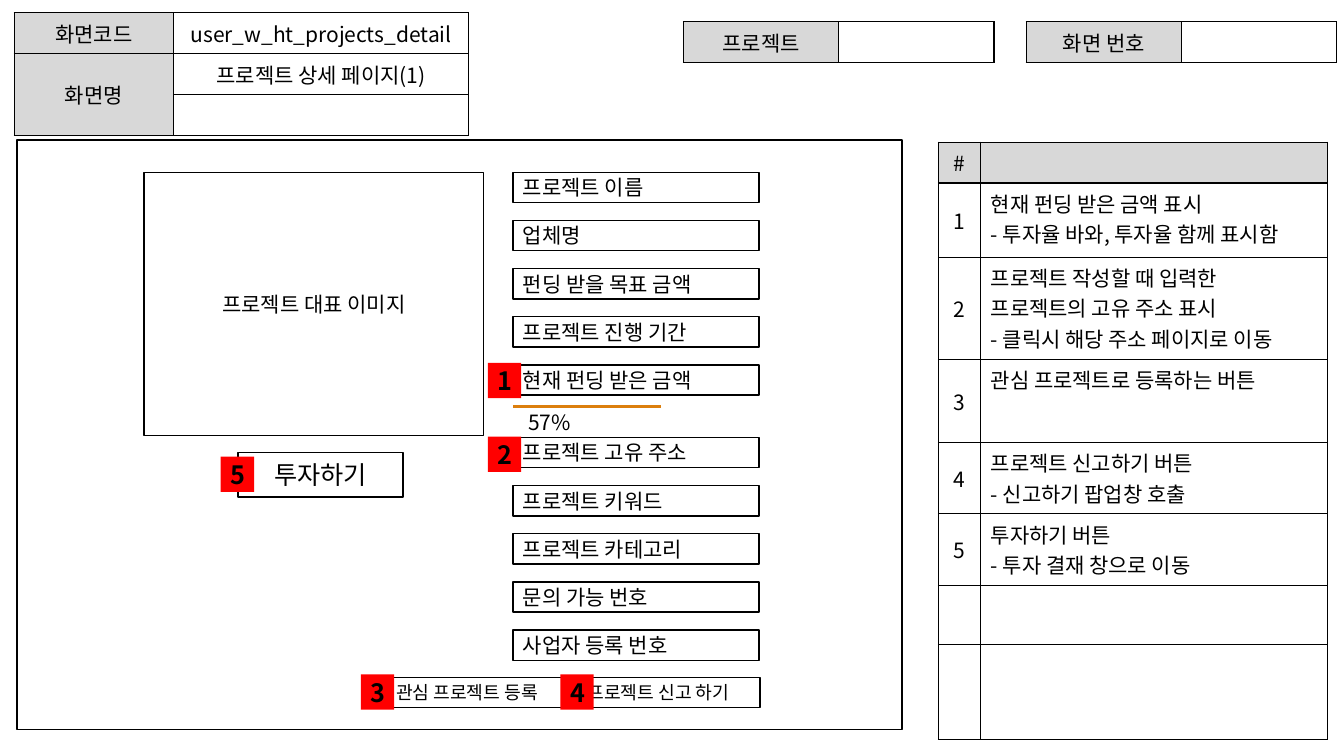
"""Build the wireframe slide for the project detail page."""
from dataclasses import dataclass

from lxml import etree
from pptx import Presentation
from pptx.dml.color import RGBColor
from pptx.enum import shapes, text
from pptx.oxml import ns
from pptx.util import Pt


@dataclass(frozen=True)
class Theme:
    """Colours, font and type sizes."""
    font: str = "Noto Sans CJK KR"
    ink: str = "000000"
    paper: str = "FFFFFF"
    label: str = "D8D8D8"
    badge: str = "FF0000"
    progress: str = "DC7F0D"
    small: float = 13
    body: float = 15
    large: float = 18


THEME = Theme()
LEFT, CENTER = text.PP_ALIGN.LEFT, text.PP_ALIGN.CENTER

SCREEN = [["화면코드", "user_w_ht_projects_detail"],
          ["화면명", "프로젝트 상세 페이지(1)"],
          ["", ""]]
PROJECT = [["프로젝트", ""]]
SCREEN_NUMBER = [["화면 번호", ""]]
GUIDE = [
    ["#", ""],
    ["1", "현재 펀딩 받은 금액 표시\n- 투자율 바와, 투자율 함께 표시함"],
    ["2", "프로젝트 작성할 때 입력한 프로젝트의 고유 주소 표시\n- 클릭시 해당 주소 페이지로 이동"],
    ["3", "관심 프로젝트로 등록하는 버튼"],
    ["4", "프로젝트 신고하기 버튼\n- 신고하기 팝업창 호출"],
    ["5", "투자하기 버튼\n- 투자 결재 창으로 이동"],
    ["", ""],
    ["", ""],
]
GUIDE_HEIGHTS = [28.6, 53, 73, 59.4, 51, 51, 42.6, 67.8]
FIELD_GROUPS = [
    (123.1, ["프로젝트 이름", "업체명", "펀딩 받을 목표 금액", "프로젝트 진행 기간", "현재 펀딩 받은 금액"]),
    (312.5, ["프로젝트 고유 주소", "프로젝트 키워드", "프로젝트 카테고리", "문의 가능 번호", "사업자 등록 번호"]),
]
BOTTOM_BUTTONS = [(275.8, "관심 프로젝트 등록"), (412.6, "프로젝트 신고 하기")]
BADGES = [("3", 257.8, 481.7), ("4", 400.3, 481.7), ("2", 348.5, 311.8),
          ("5", 157.7, 326.2), ("1", 348.5, 259.2)]

FIELD_LEFT, FIELD_WIDTH, FIELD_HEIGHT, FIELD_STEP = 366.5, 175.7, 21.6, 34.4
PROGRESS_TOP, PROGRESS_WIDTH = 290.2, 105.8
LABEL_ROW = 29.2


def colour(value):
    return RGBColor.from_string(value)


def format_text(frame, align, size, bold=False):
    frame.word_wrap = True
    for paragraph in frame.paragraphs:
        paragraph.alignment = align
        for run in paragraph.runs:
            run.font.size, run.font.bold = Pt(size), bold
            run.font.color.rgb = colour(THEME.ink)
            run.font.name = THEME.font
            east_asian = etree.SubElement(run.font._element, ns.qn("a:ea"))
            east_asian.set("typeface", THEME.font)


def format_cell(cell, fill, align, anchor):
    properties = cell._tc.get_or_add_tcPr()
    for side in ("lnL", "lnR", "lnT", "lnB"):
        border = etree.SubElement(properties, ns.qn(f"a:{side}"), w=str(Pt(1)))
        solid = etree.SubElement(border, ns.qn("a:solidFill"))
        etree.SubElement(solid, ns.qn("a:srgbClr"), val=THEME.ink)
    cell.fill.solid()
    cell.fill.fore_color.rgb = colour(fill)
    cell.vertical_anchor = anchor
    format_text(cell.text_frame, align, THEME.body)


def add_grid(slide, rows, left, top, widths, heights, guide=False):
    grid = slide.shapes.add_table(len(rows), len(widths), Pt(left), Pt(top),
                                  Pt(sum(widths)), Pt(sum(heights))).table
    grid.first_row = grid.horz_banding = False
    for column, width in zip(grid.columns, widths):
        column.width = Pt(width)
    for row, height in zip(grid.rows, heights):
        row.height = Pt(height)
    for r, row in enumerate(rows):
        for c, words in enumerate(row):
            cell = grid.cell(r, c)
            cell.text_frame.text = words
            is_label = r == 0 if guide else c == 0
            is_note = guide and c == 1
            format_cell(cell, THEME.label if is_label else THEME.paper,
                        LEFT if is_note else CENTER,
                        text.MSO_ANCHOR.TOP if is_note else text.MSO_ANCHOR.MIDDLE)
    return grid


def add_box(page, words, left, top, width, height, align=CENTER,
            size=THEME.body, fill=None, outlined=True, bold=False):
    box = page.shapes.add_shape(shapes.MSO_SHAPE.RECTANGLE,
                                Pt(left), Pt(top), Pt(width), Pt(height))
    box.shadow.inherit = False
    if fill:
        box.fill.solid()
        box.fill.fore_color.rgb = colour(fill)
    else:
        box.fill.background()
    if outlined:
        box.line.color.rgb, box.line.width = colour(THEME.ink), Pt(1)
    else:
        box.line.fill.background()
    box.text_frame.text = words
    box.text_frame.vertical_anchor = text.MSO_ANCHOR.MIDDLE
    format_text(box.text_frame, align, size, bold)


def add_progress(page):
    progress = page.shapes.add_connector(
        shapes.MSO_CONNECTOR.STRAIGHT, Pt(FIELD_LEFT), Pt(PROGRESS_TOP),
        Pt(FIELD_LEFT + PROGRESS_WIDTH), Pt(PROGRESS_TOP))
    progress.line.color.rgb, progress.line.width = colour(THEME.progress), Pt(2.25)
    etree.SubElement(progress._element.spPr, ns.qn("a:effectLst"))
    add_box(page, "57%", 369.4, 294.5, 46.1, 14.4, fill=THEME.paper, outlined=False)


def add_wireframe(slide):
    page = slide.shapes.add_group_shape()
    add_progress(page)
    for left, words in BOTTOM_BUTTONS:
        add_box(page, words, left, 483.8, 130.3, FIELD_HEIGHT, LEFT, THEME.small)
    add_box(page, "", 12.2, 100.1, 632.2, 421.2)
    add_box(page, "프로젝트 대표 이미지", 103, 123.1, 242.6, 187.9)
    for top, fields in FIELD_GROUPS:
        for index, words in enumerate(fields):
            add_box(page, words, FIELD_LEFT, top + index * FIELD_STEP,
                    FIELD_WIDTH, FIELD_HEIGHT, LEFT)
    add_box(page, "투자하기", 169.9, 323.3, 118.1, 31.7, size=THEME.large, fill=THEME.paper)
    for number, left, top in BADGES:
        add_box(page, number, left, top, 23.8, 25.2, size=THEME.large,
                fill=THEME.badge, outlined=False, bold=True)


def main():
    deck = Presentation()
    deck.slide_width, deck.slide_height = Pt(960), Pt(540)
    slide = deck.slides.add_slide(deck.slide_layouts[6])
    screen = add_grid(slide, SCREEN, 10.1, 9, [113.8, 211], [LABEL_ROW] * 3)
    screen.cell(1, 0).merge(screen.cell(2, 0))
    for rows, left in ((SCREEN_NUMBER, 733), (PROJECT, 488.2)):
        add_grid(slide, rows, left, 15.5, [110.9] * 2, [LABEL_ROW])
    add_grid(slide, GUIDE, 670.3, 101.5, [30.2, 247.7], GUIDE_HEIGHTS, guide=True)
    add_wireframe(slide)
    deck.save("out.pptx")


if __name__ == "__main__":
    main()
